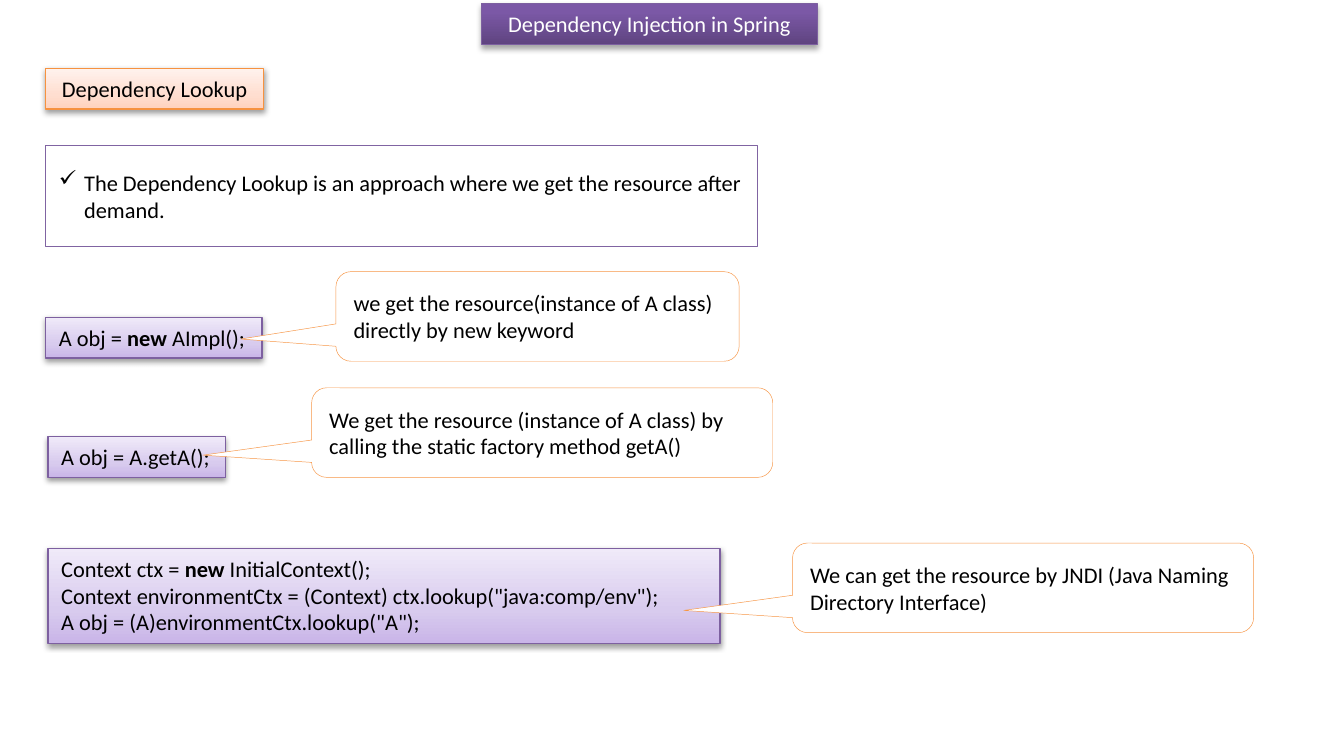
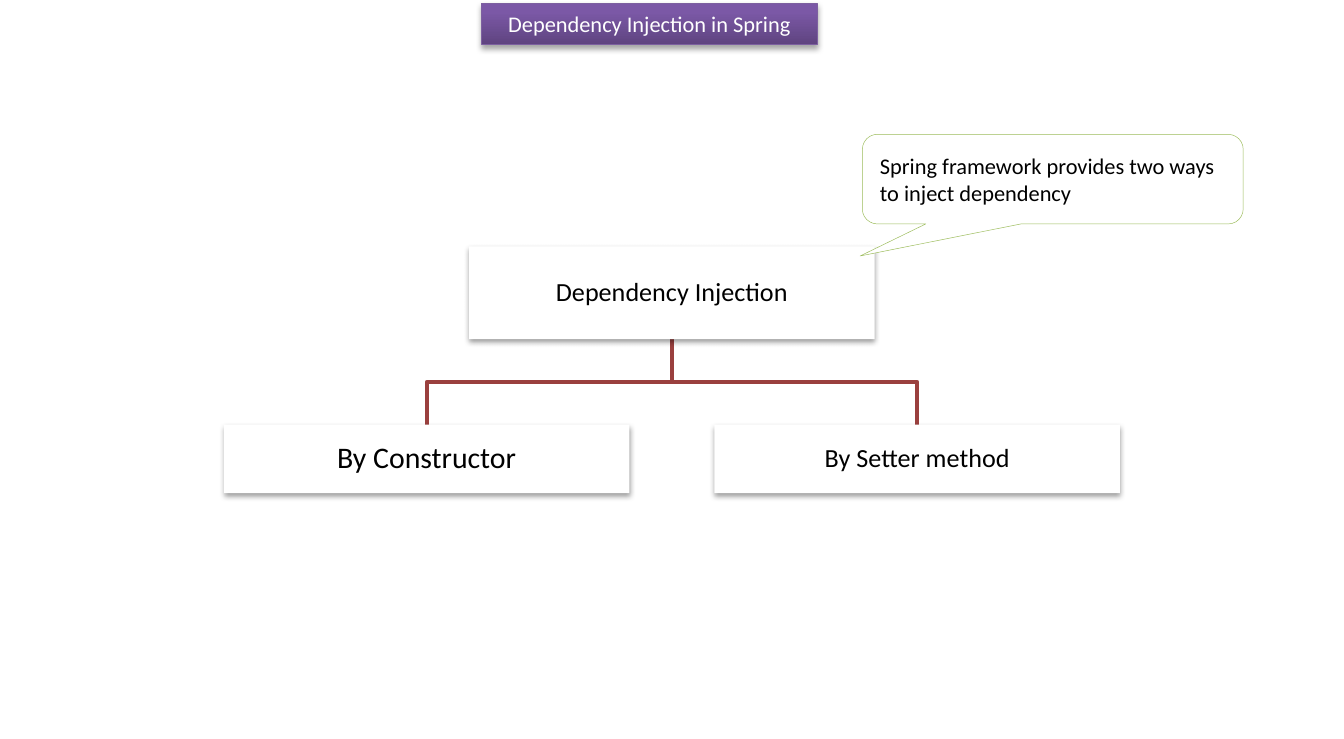
from lxml import etree
from pptx import Presentation
from pptx import util as u
from pptx.dml.color import RGBColor
from pptx.enum import shapes, text
from pptx.oxml.ns import qn

FONT = "Calibri"
BLACK, WHITE = "000000", "FFFFFF"
PURPLE, ORANGE, GREEN, BRANCH_RED = "8064A2", "F79646", "9BBB59", "9A403E"
LABEL_H = 21.8

# Styles: gradient stops run from bottom to top
TITLE = dict(stops=[(0, "5F4480"), (80, "7B58A6"), (100, "7C57A8")],
             line="7D60A0", shadow=(35, 1.8))
HEADING = dict(stops=[(0, "FFD2BD"), (35, "FFDED0"), (100, "FFF2ED")],
               line="F69240", shadow=(38, 1.6))
CODE = dict(stops=[(0, "C9B5E8"), (35, "D8CBEE"), (100, "F0EAF9")],
            line="7D60A0", shadow=(38, 1.6))


def rgb(value):
    return RGBColor.from_string(value)


def add(parent, tag, **attributes):
    return etree.SubElement(parent, qn(tag), attributes)


def add_color(parent, value):
    return add(parent, "a:srgbClr", val=value)


def set_line(shape, color, width):
    if color:
        shape.line.color.rgb = rgb(color)
        shape.line.width = u.Pt(width)
    else:
        shape.line.fill.background()


def set_shadow(shape, shadow):
    shape.shadow.inherit = False
    if shadow:
        opacity, distance = shadow
        effects = shape._element.spPr.find(qn("a:effectLst"))
        outer = add(effects, "a:outerShdw", blurRad=str(u.Pt(3.1)),
                    dist=str(u.Pt(distance)), dir="5400000", rotWithShape="0")
        add(add_color(outer, BLACK), "a:alpha", val=str(opacity * 1000))


def set_gradient(shape, stops):
    shape.fill.gradient()
    shape.fill.gradient_angle = 90
    stop_list = shape._element.spPr.find(".//" + qn("a:gsLst"))
    for old_stop in list(stop_list):
        stop_list.remove(old_stop)
    for position, color in stops:
        add_color(add(stop_list, "a:gs", pos=str(position * 1000)), color)


def add_box(slide, box, kind=shapes.MSO_SHAPE.RECTANGLE, stops=None, line=None,
            width=0.75, shadow=None):
    shape = slide.shapes.add_shape(kind, *map(u.Pt, box))
    if stops:
        set_gradient(shape, stops)
    else:
        shape.fill.solid()
        shape.fill.fore_color.rgb = rgb(WHITE)
    set_line(shape, line, width)
    set_shadow(shape, shadow)
    return shape


def write(shape, *lines, size=12, color=BLACK, align=text.PP_ALIGN.LEFT,
          anchor=text.MSO_ANCHOR.MIDDLE, grow=False, wrap=True, inset=None,
          spacing=None, bullet=None):
    """Each line is a string; its parts between ** marks are bold."""
    frame = shape.text_frame
    frame.word_wrap = wrap
    frame.vertical_anchor = anchor
    if grow:
        frame.auto_size = text.MSO_AUTO_SIZE.SHAPE_TO_FIT_TEXT
    if inset is not None:
        frame.margin_left = frame.margin_right = u.Pt(inset)
        frame.margin_top = frame.margin_bottom = u.Pt(inset)
    for number, line in enumerate(lines):
        paragraph = frame.add_paragraph() if number else frame.paragraphs[0]
        paragraph.alignment = align
        if bullet:
            properties = paragraph._p.get_or_add_pPr()
            properties.set("marL", str(u.Pt(13.5)))
            properties.set("indent", str(u.Pt(-13.5)))
            add(properties, "a:buChar", char=bullet)
        if spacing:
            paragraph.line_spacing = spacing
        for part, content in enumerate(line.split("**")):
            run = paragraph.add_run()
            run.text = content
            run.font.name = FONT
            run.font.size = u.Pt(size)
            run.font.bold = part % 2 == 1
            run.font.color.rgb = rgb(color)


def add_label(slide, box, style, *lines, **text_format):
    write(add_box(slide, box, **style), *lines, anchor=text.MSO_ANCHOR.TOP,
          grow=True, **text_format)


def add_callout(slide, box, message, color=ORANGE, tip=(-0.736, 0.252)):
    callout = add_box(slide, box, shapes.MSO_SHAPE.ROUNDED_RECTANGULAR_CALLOUT,
                      line=color, width=0.25)
    for index, value in enumerate((*tip, 0.167)):
        callout.adjustments[index] = value
    write(callout, message)


def new_slide(deck):
    slide = deck.slides.add_slide(deck.slide_layouts[6])
    add_label(slide, (258, 2, 180, LABEL_H), TITLE, "Dependency Injection in Spring",
              color=WHITE, align=text.PP_ALIGN.CENTER)
    return slide


def add_definition(slide, box):
    left, top, width, height = box
    add_label(slide, (left, top, 116.8, LABEL_H), HEADING, "Dependency Lookup",
              align=text.PP_ALIGN.CENTER)
    summary = add_box(slide, (left, top + 41.3, width, height - 41.3),
                      line=PURPLE, width=0.25)
    write(summary, "The Dependency Lookup is an approach where we get the "
          "resource after demand.", bullet="✓")


def add_example(slide, code_box, callout_box, code, message, wrap=False):
    add_label(slide, code_box, CODE, *code, wrap=wrap)
    add_callout(slide, callout_box, message)


def add_tree(slide, box, root_text, children):
    left, top, width, height = box
    node_w, root_h, child_h = 217.2, 49.7, 36.7
    center = left + width / 2
    root_bottom, child_top = top + root_h, top + height - child_h
    middle = (root_bottom + child_top) / 2
    step = (width - node_w) / (len(children) - 1)
    nodes = [((center - node_w / 2, top, node_w, root_h), root_text, 14)]

    # Branches lie behind the nodes
    for index, (label, size) in enumerate(children):
        child_left = left + index * step
        child_center = child_left + node_w / 2
        nodes.append(((child_left, child_top, node_w, child_h), label, size))
        outline = slide.shapes.build_freeform(u.Pt(center), u.Pt(root_bottom))
        corners = [(center, middle), (child_center, middle), (child_center, child_top)]
        outline.add_line_segments([(u.Pt(x), u.Pt(y)) for x, y in corners], close=False)
        branch = outline.convert_to_shape()
        branch.fill.background()
        set_line(branch, BRANCH_RED, 2)
        set_shadow(branch, None)

    for node_box, label, size in nodes:
        write(add_box(slide, node_box, shadow=(38, 1.6)), label, size=size,
              align=text.PP_ALIGN.CENTER, inset=0.7, spacing=0.9)


def build_lookup_slide(deck):
    slide = new_slide(deck)
    add_definition(slide, (24.5, 36.7, 381, 95.3))
    add_example(slide, (24.5, 170, 115.8, LABEL_H), (180, 145.6, 216, 48),
                ["A obj = **new **AImpl();"],
                "we get the resource(instance of A class) directly by new keyword")
    add_example(slide, (25.7, 234, 95, LABEL_H), (167, 207.8, 247, 48),
                ["A obj = A.getA();"],
                "We get the resource (instance of A class) by calling the static "
                "factory method getA()")
    add_example(slide, (25.7, 293.8, 360, 50.9), (424.6, 291, 247, 48),
                ["Context ctx = **new **InitialContext();",
                 'Context environmentCtx = (Context) ctx.lookup("java:comp/env");',
                 'A obj = (A)environmentCtx.lookup("A");'],
                "We can get the resource by JNDI (Java Naming Directory Interface)",
                wrap=True)


def build_injection_slide(deck):
    slide = new_slide(deck)
    add_tree(slide, (120, 132, 480, 132.2), "Dependency Injection",
             [("By Constructor", 16), ("By Setter method", 14)])
    add_callout(slide, (462, 72, 204, 48),
                "Spring framework provides two ways to inject dependency",
                color=GREEN, tip=(-0.506, 0.858))


def main():
    deck = Presentation()
    deck.slide_width, deck.slide_height = u.Pt(720), u.Pt(396)
    build_lookup_slide(deck)
    build_injection_slide(deck)
    deck.save("out.pptx")


if __name__ == "__main__":
    main()
